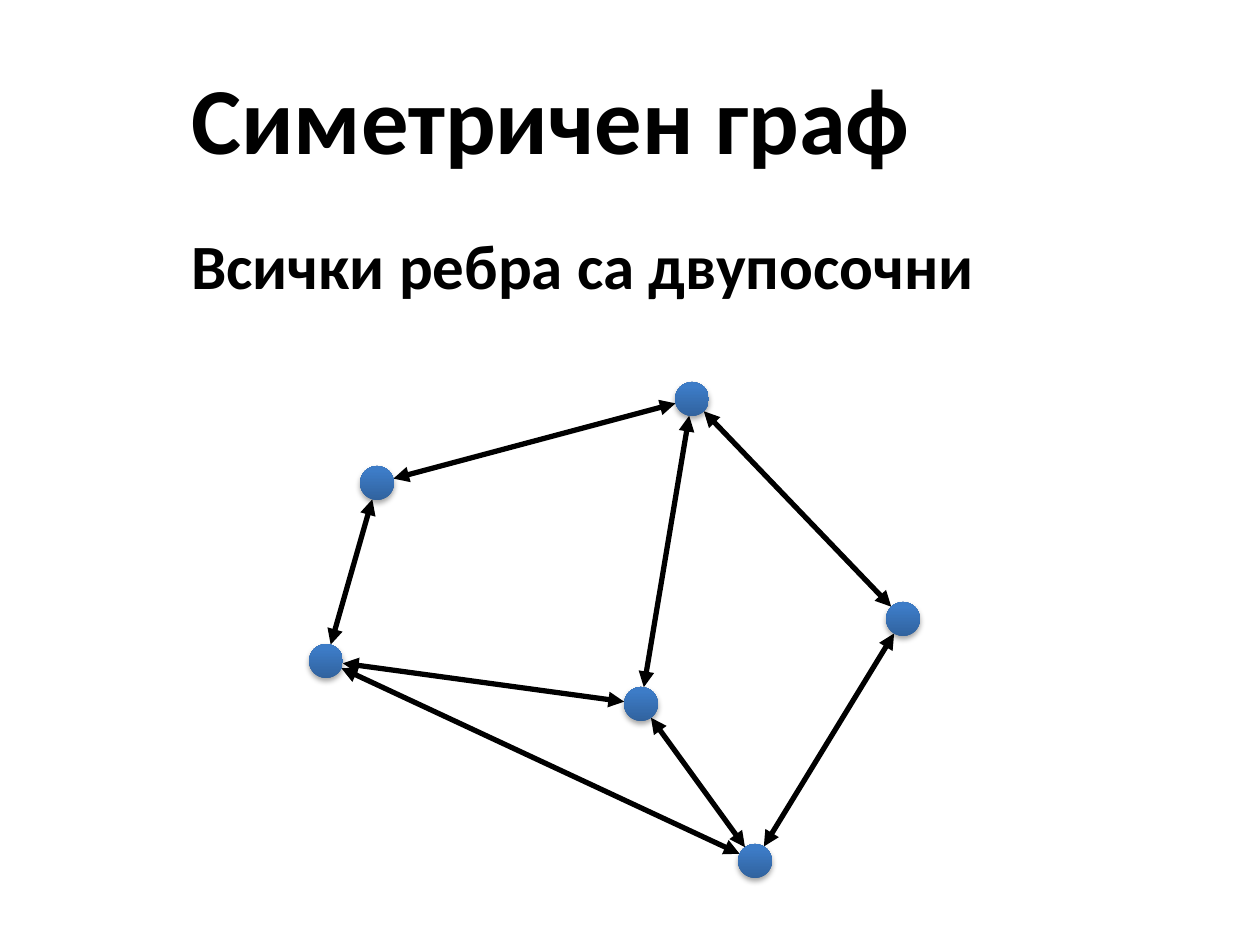
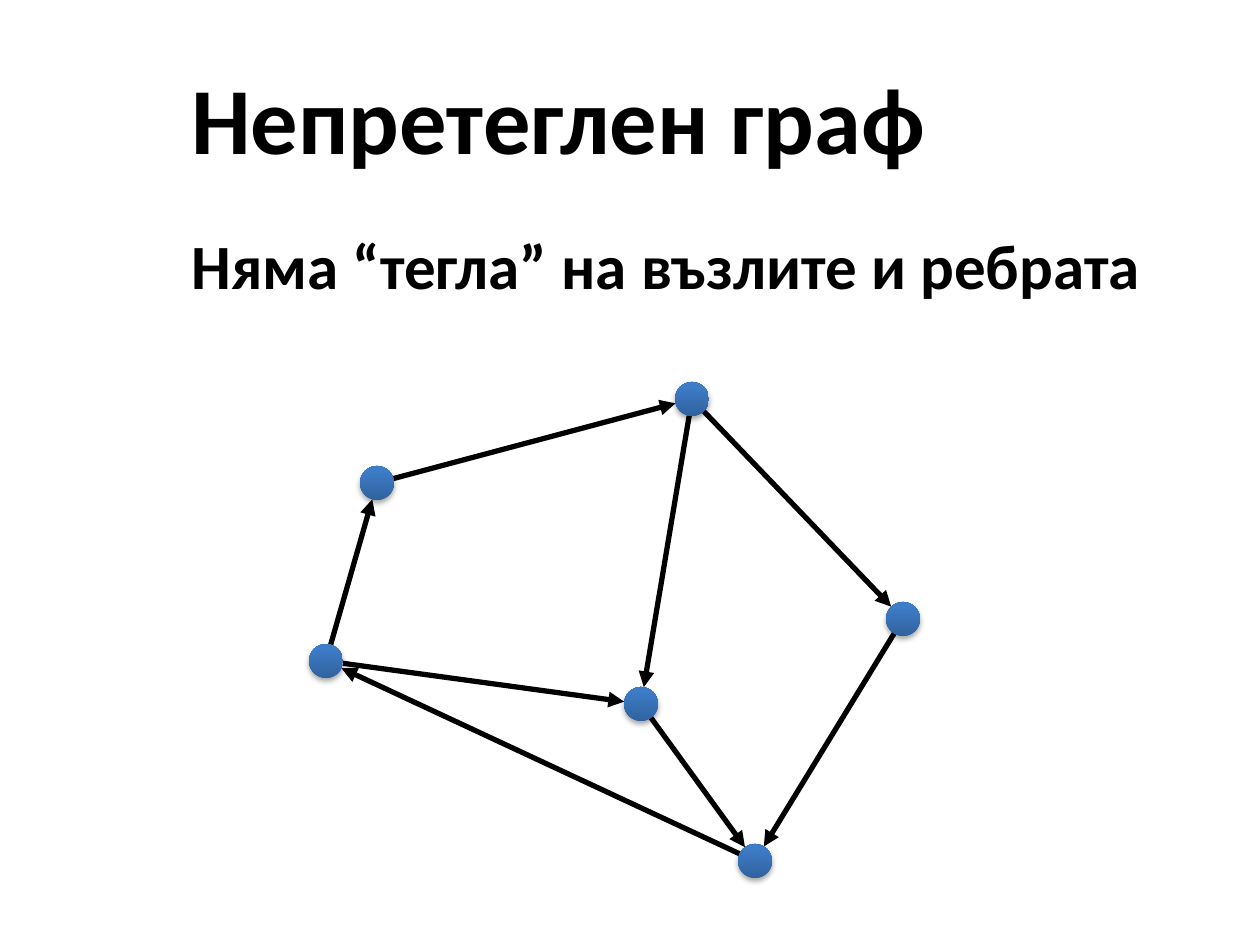
import math
from dataclasses import dataclass

import pptx
import pptx.dml.color
import pptx.enum.shapes
import pptx.enum.text
import pptx.oxml.ns
import pptx.util
from lxml import etree

PX = pptx.util.Inches(1) / 126

# Centres of the graph's nodes, in px
NODES = {
    "north_west": (377, 483),
    "north": (692, 399),
    "east": (903, 619),
    "middle": (641, 704),
    "south": (755, 861),
    "west": (326, 661),
}
NODE_SIZE = 34
NODE_TURN = 345

EDGES = [
    ("west", "north_west"),
    ("west", "middle"),
    ("south", "west"),
    ("north_west", "north"),
    ("north", "middle"),
    ("north", "east"),
    ("east", "south"),
    ("middle", "south"),
]

GRAPHS = [
    {
        "title": "Симетричен граф",
        "statement": "Всички ребра са двупосочни",
        "two_way": True,
        "leave_from_centre": set(),
    },
    {
        "title": "Непретеглен граф",
        "statement": "Няма “тегла” на възлите и ребрата",
        "two_way": False,
        "leave_from_centre": {"north_west", "east", "middle", "south"},
    },
]

TITLE_BOX = (179, 38, 1081, 158)
STATEMENT_BOX = (179, 220, 1081, 703)


@dataclass(frozen=True)
class Theme:
    font: str = "Calibri"
    title_size: int = 54
    statement_size: int = 36
    ink: str = "000000"
    edge_width: int = 3
    node_gradient: tuple = ((0, "2F5F99"), (80, "3D7CC7"), (100, "3A7CCB"))
    shadow_opacity: int = 35
    shadow_blur: float = 3.1
    shadow_distance: float = 1.8


THEME = Theme()


def emu(*lengths):
    return [round(length * PX) for length in lengths]


def rgb(value):
    return pptx.dml.color.RGBColor.from_string(value)


def add_xml(parent, tag, **attributes):
    child = etree.SubElement(parent, pptx.oxml.ns.qn(tag))
    for name, value in attributes.items():
        child.set(name, str(value))
    return child


def add_text(slide, text, box, size, anchor):
    frame = slide.shapes.add_textbox(*emu(*box)).text_frame
    frame.word_wrap = True
    frame.vertical_anchor = anchor
    paragraph = frame.paragraphs[0]
    paragraph.text = text
    paragraph.font.name = THEME.font
    paragraph.font.size = pptx.util.Pt(size)
    paragraph.font.bold = True
    paragraph.font.color.rgb = rgb(THEME.ink)


def rim_point(node, other):
    """Point on the rim of node that faces the other node."""
    (x, y), (other_x, other_y) = NODES[node], NODES[other]
    angle = math.atan2(other_y - y, other_x - x)
    radius = NODE_SIZE / 2
    return x + radius * math.cos(angle), y + radius * math.sin(angle)


def add_edge(slide, start, end, graph):
    from_centre = start in graph["leave_from_centre"]
    begin = NODES[start] if from_centre else rim_point(start, end)
    edge = slide.shapes.add_connector(
        pptx.enum.shapes.MSO_CONNECTOR.STRAIGHT, *emu(*begin, *rim_point(end, start)))
    edge.line.color.rgb = rgb(THEME.ink)
    edge.line.width = pptx.util.Pt(THEME.edge_width)
    outline = edge.line._get_or_add_ln()
    if graph["two_way"]:
        add_xml(outline, "a:headEnd", type="triangle")
    add_xml(outline, "a:tailEnd", type="triangle")
    add_xml(edge._element.spPr, "a:effectLst")


def add_node(slide, centre):
    x, y = centre
    node = slide.shapes.add_shape(
        pptx.enum.shapes.MSO_SHAPE.OVAL,
        *emu(x - NODE_SIZE / 2, y - NODE_SIZE / 2, NODE_SIZE, NODE_SIZE))
    node.rotation = NODE_TURN
    node.line.fill.background()
    node.fill.gradient()
    node.fill.gradient_angle = 90
    properties = node._element.spPr
    gradient = properties.find(pptx.oxml.ns.qn("a:gradFill"))
    gradient.set("rotWithShape", "0")
    stops = gradient.find(pptx.oxml.ns.qn("a:gsLst"))
    for stop in list(stops):
        stops.remove(stop)
    for position, color in THEME.node_gradient:
        stop = add_xml(stops, "a:gs", pos=position * 1000)
        add_xml(stop, "a:srgbClr", val=color)

    node.shadow.inherit = False
    effects = properties.find(pptx.oxml.ns.qn("a:effectLst"))
    shadow = add_xml(
        effects, "a:outerShdw",
        blurRad=pptx.util.Pt(THEME.shadow_blur),
        dist=pptx.util.Pt(THEME.shadow_distance),
        dir=90 * 60000, rotWithShape=0)
    shade = add_xml(shadow, "a:srgbClr", val=THEME.ink)
    add_xml(shade, "a:alpha", val=THEME.shadow_opacity * 1000)


def add_graph_slide(deck, graph):
    slide = deck.slides.add_slide(deck.slide_layouts[6])
    anchors = pptx.enum.text.MSO_ANCHOR
    add_text(slide, graph["title"], TITLE_BOX, THEME.title_size, anchors.MIDDLE)
    add_text(slide, graph["statement"], STATEMENT_BOX, THEME.statement_size, anchors.TOP)
    for start, end in EDGES:
        add_edge(slide, start, end, graph)
    for centre in NODES.values():
        add_node(slide, centre)


def main():
    deck = pptx.Presentation()
    deck.slide_width, deck.slide_height = emu(1260, 945)
    for graph in GRAPHS:
        add_graph_slide(deck, graph)
    deck.save("out.pptx")


if __name__ == "__main__":
    main()
